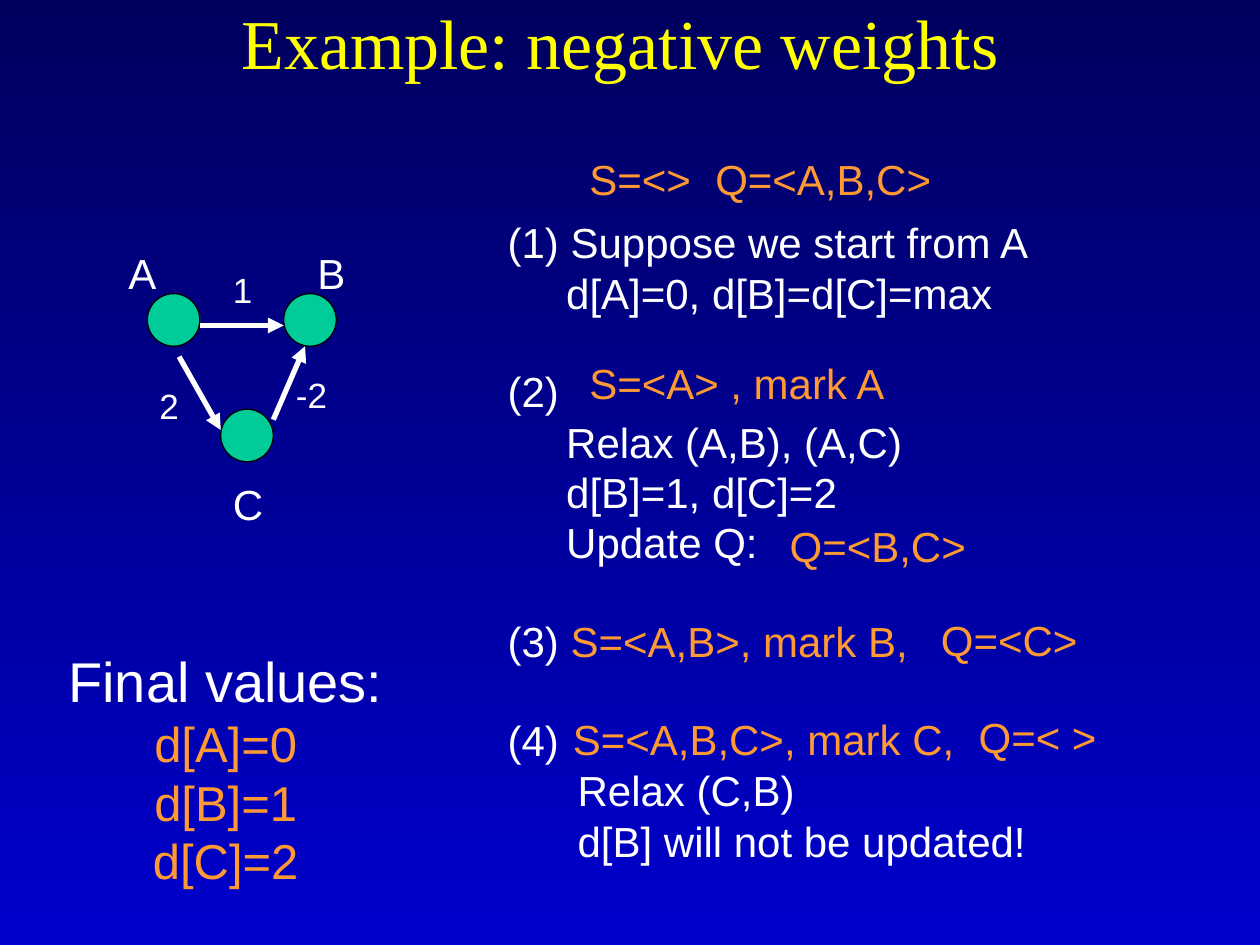
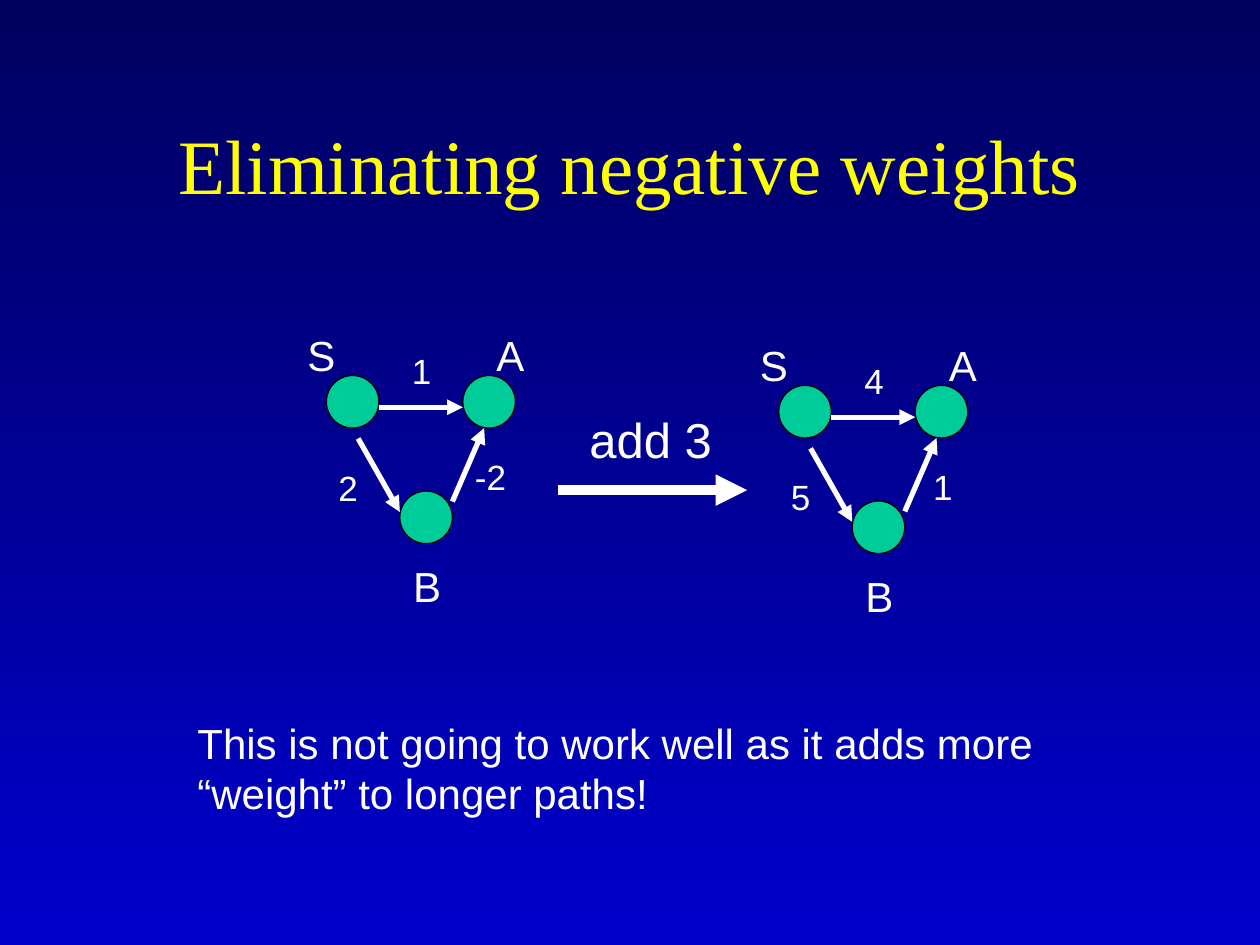
from dataclasses import dataclass

from lxml import etree
from pptx import Presentation
from pptx.dml.color import RGBColor
from pptx.enum import shapes as shp, text as txt
from pptx.oxml.ns import qn
from pptx.util import Cm, Pt

COLORS = {
    "sky_top": "00005E", "sky_bottom": "0000CC", "title": "FFFF00",
    "body": "FFFFFF", "state": "FF9933", "node": "00CC99", "outline": "000000",
}
TITLE_FONT, BODY_FONT = "Times New Roman", "Arial"
CENTER, LEFT = txt.PP_ALIGN.CENTER, txt.PP_ALIGN.LEFT
NODE_SIZE = 1.06


@dataclass
class Line:
    text: str
    size: float = 24
    color: str = "body"
    indent: float = 0
    before: float = 0
    tab: float = 0


@dataclass
class Box:
    left: float
    top: float
    width: float
    height: float
    lines: list[Line]
    align: int = LEFT


@dataclass
class Graph:
    """A triangle of two upper nodes and a lower one, placed by its upper left node."""
    left: float
    top: float
    names: tuple[str, str, str]
    weights: tuple[str, str, str]


# Offsets in cm from the corner of the upper left node
NODES = [(0, 0), (2.75, 0), (1.48, 2.33)]
EDGES = [(1.06, 0.64, 2.75, 0.64), (0.64, 1.27, 1.48, 2.75), (2.54, 2.54, 3.18, 1.06)]
NAME_SPOTS = [(-0.1, -1.05), (3.71, -1.05), (2.03, 3.6)]
WEIGHT_SPOTS = [(1.92, -0.64), (0.44, 1.7), (3.31, 1.49)]

BLANK_LINE = 27.6
STEPS = [
    Line("(1) Suppose we start from A"),
    Line("d[A]=0, d[B]=d[C]=max", indent=1.18),
    Line("(2)", before=BLANK_LINE),
    Line("Relax (A,B), (A,C)", indent=1.18),
    Line("d[B]=1, d[C]=2", indent=1.18),
    Line("Update Q:", indent=1.18),
    Line("(3)\t", before=BLANK_LINE, tab=1.52),
    Line("(4)", before=BLANK_LINE),
    Line("Relax (C,B)", indent=1.41),
    Line("d[B] will not be updated!", indent=1.41),
]
MARKED_STEP, MARKED_TEXT = 6, "S=<A,B>, mark B,"

STATES = [
    Box(11.63, 2.97, 9.2, 1.27, [Line("S=<>\tQ=<A,B,C>", color="state", tab=4.18)]),
    Box(11.63, 7.09, 8.4, 1.27, [Line("S=<A> , mark A", color="state")]),
    Box(15.67, 10.36, 4.3, 1.27, [Line("Q=<B,C>", color="state")]),
    Box(18.72, 12.27, 3.5, 1.27, [Line("Q=<C>", color="state")]),
    Box(11.3, 14.25, 8.2, 1.27, [Line("S=<A,B,C>, mark C,", color="state")]),
    Box(19.48, 14.22, 3.2, 1.27, [Line("Q=< >", color="state")]),
]
FINAL_VALUES = Box(1.12, 12.9, 6.86, 5.18, [
    Line("Final values:", 32),
    *(Line(value, 28, "state") for value in ("d[A]=0", "d[B]=1", "d[C]=2")),
], CENTER)


def rgb(name: str) -> RGBColor:
    return RGBColor.from_string(COLORS[name])


def set_font(font, name: str, size: float, color: str) -> None:
    font.name, font.size = name, Pt(size)
    font.color.rgb = rgb(color)


def write_lines(frame, lines: list[Line], align: int) -> None:
    frame.word_wrap = True
    frame.auto_size = txt.MSO_AUTO_SIZE.NONE
    frame.vertical_anchor = txt.MSO_ANCHOR.TOP
    for number, line in enumerate(lines):
        paragraph = frame.add_paragraph() if number else frame.paragraphs[0]
        paragraph.text = line.text
        paragraph.alignment = align
        paragraph.space_before = Pt(line.before)
        properties = paragraph._p.get_or_add_pPr()
        properties.set("marL", str(Cm(line.indent)))
        properties.set("indent", "0")
        etree.SubElement(properties, qn("a:buNone"))
        if line.tab:
            tabs = etree.SubElement(properties, qn("a:tabLst"))
            etree.SubElement(tabs, qn("a:tab"), pos=str(Cm(line.tab)), algn="l")
        set_font(paragraph.font, BODY_FONT, line.size, line.color)


def add_box(shapes, box: Box) -> None:
    frame = shapes.add_textbox(
        Cm(box.left), Cm(box.top), Cm(box.width), Cm(box.height)).text_frame
    if box.align == CENTER:
        frame.margin_left = frame.margin_right = 0
    write_lines(frame, box.lines, box.align)


def add_arrow(shapes, x1: float, y1: float, x2: float, y2: float, width: float = 3) -> None:
    arrow = shapes.add_connector(
        shp.MSO_CONNECTOR.STRAIGHT, Cm(x1), Cm(y1), Cm(x2), Cm(y2))
    arrow.line.color.rgb = rgb("body")
    arrow.line.width = Pt(width)
    properties = arrow._element.spPr
    etree.SubElement(properties.find(qn("a:ln")), qn("a:tailEnd"), type="triangle")
    etree.SubElement(properties, qn("a:effectLst"))


def add_graph(shapes, graph: Graph) -> None:
    for x, y in NODES:
        node = shapes.add_shape(
            shp.MSO_SHAPE.OVAL, Cm(graph.left + x), Cm(graph.top + y),
            Cm(NODE_SIZE), Cm(NODE_SIZE))
        node.shadow.inherit = False
        node.fill.solid()
        node.fill.fore_color.rgb = rgb("node")
        node.line.color.rgb = rgb("outline")
        node.line.width = Pt(0.75)
    for x1, y1, x2, y2 in EDGES:
        add_arrow(shapes, graph.left + x1, graph.top + y1, graph.left + x2, graph.top + y2)
    for labels, spots, size, width, height in (
            (graph.names, NAME_SPOTS, 24, 1.06, 1.27),
            (graph.weights, WEIGHT_SPOTS, 20, 1.0, 1.11)):
        for label, (x, y) in zip(labels, spots):
            add_box(shapes, Box(graph.left + x - width / 2, graph.top + y,
                                width, height, [Line(label, size)], CENTER))


def set_title(slide, title: str, top: float, size: float, anchor: int):
    shape = slide.shapes.title
    shape.left, shape.top, shape.width, shape.height = Cm(1.9), Cm(top), Cm(21.6), Cm(3.18)
    frame = shape.text_frame
    frame.text = title
    frame.auto_size = txt.MSO_AUTO_SIZE.NONE
    frame.vertical_anchor = anchor
    frame.paragraphs[0].alignment = CENTER
    set_font(frame.paragraphs[0].font, TITLE_FONT, size, "title")
    return frame


def paint_background(master) -> None:
    fill = master.background.fill
    fill.gradient()
    fill.gradient_angle = 270
    for stop, position, color in zip(fill.gradient_stops, (0, 1), ("sky_top", "sky_bottom")):
        stop.position = position
        stop.color.rgb = rgb(color)


def build_example(prs) -> None:
    slide = prs.slides.add_slide(prs.slide_layouts[1])
    title = set_title(slide, "Example: negative weights", 0, 40, txt.MSO_ANCHOR.TOP)
    title.margin_top = 0
    title.margin_right = Cm(0.65)

    steps = slide.placeholders[1]
    steps.left, steps.top, steps.width, steps.height = Cm(9.98), Cm(4.24), Cm(12), Cm(14.48)
    write_lines(steps.text_frame, STEPS, LEFT)
    marked = steps.text_frame.paragraphs[MARKED_STEP].add_run()
    marked.text = MARKED_TEXT
    marked.font.color.rgb = rgb("state")

    add_graph(slide.shapes, Graph(2.97, 5.92, ("A", "B", "C"), ("1", "2", "-2")))
    for box in [*STATES, FINAL_VALUES]:
        add_box(slide.shapes, box)


def build_elimination(prs) -> None:
    slide = prs.slides.add_slide(prs.slide_layouts[5])
    set_title(slide, "Eliminating negative weights", 1.7, 44, txt.MSO_ANCHOR.MIDDLE)
    names = ("S", "A", "B")
    for graph in (Graph(6.58, 7.57, names, ("1", "2", "-2")),
                  Graph(15.7, 7.77, names, ("4", "5", "1"))):
        add_graph(slide.shapes.add_group_shape().shapes, graph)
    add_box(slide.shapes, Box(11.63, 8.13, 2.97, 1.45, [Line("add 3", 28)], CENTER))
    add_arrow(slide.shapes, 11.25, 9.88, 15.06, 9.88, width=6)
    add_box(slide.shapes, Box(3.73, 14.33, 18.95, 3.3, [
        Line("This is not going to work well as it adds more “weight” to longer paths!")]))


def main() -> None:
    prs = Presentation()
    prs.slide_width, prs.slide_height = Cm(25.4), Cm(19.05)
    paint_background(prs.slide_master)
    build_example(prs)
    build_elimination(prs)
    prs.save("out.pptx")


if __name__ == "__main__":
    main()
